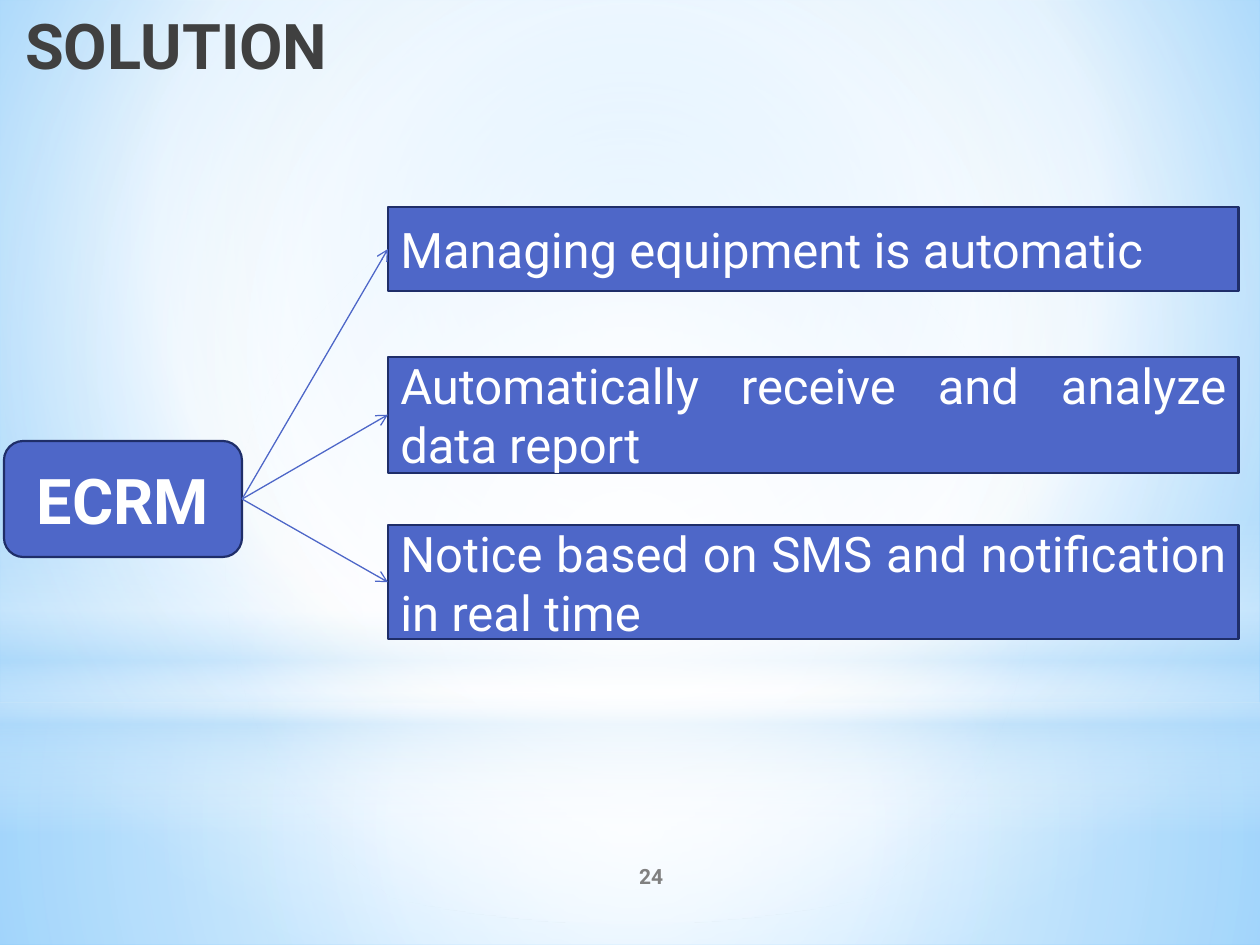
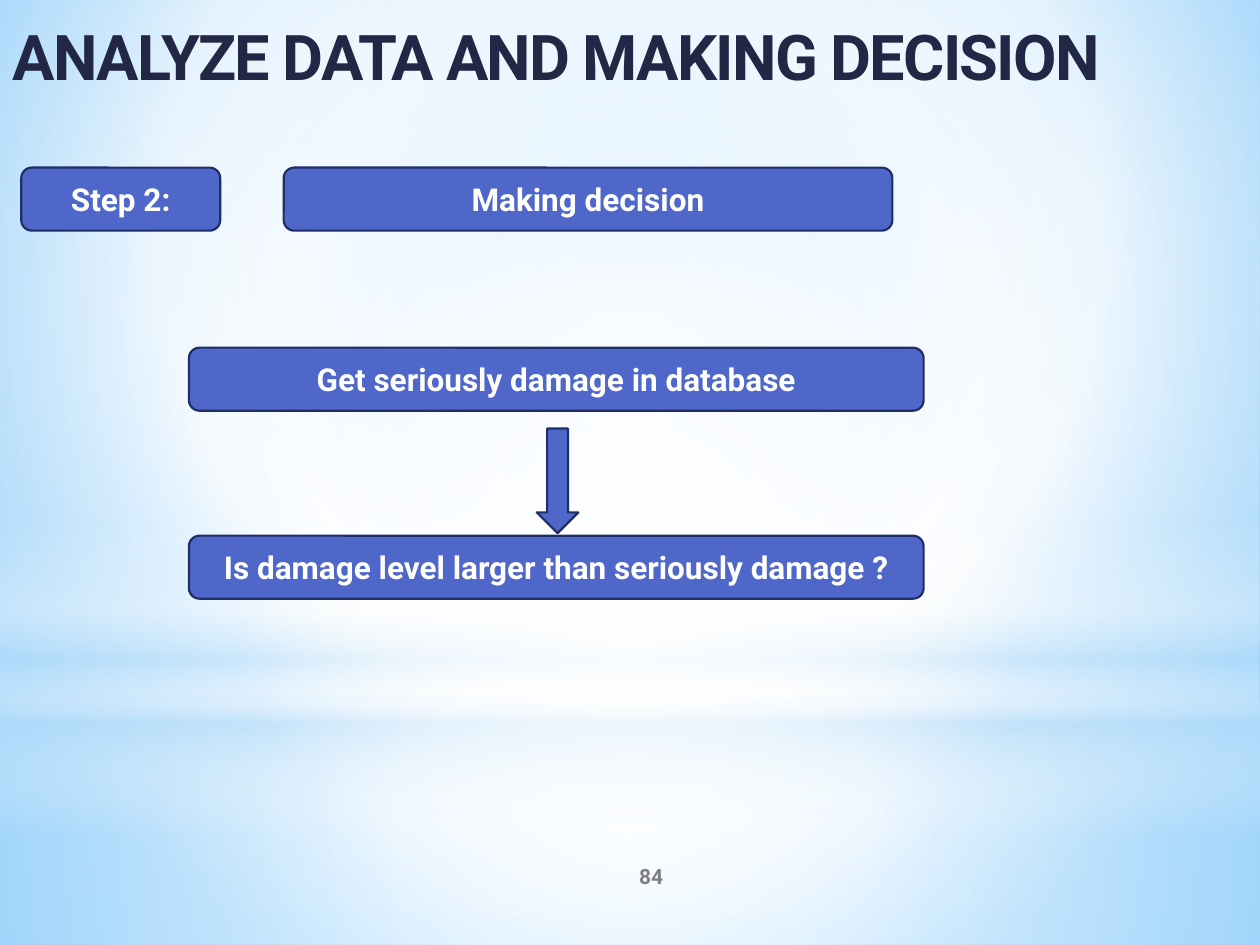
from lxml import etree
from pptx import Presentation
from pptx.dml.color import RGBColor
from pptx.enum.shapes import MSO_CONNECTOR as Connector, MSO_SHAPE as Shape
from pptx.enum.text import MSO_ANCHOR as Anchor, MSO_AUTO_SIZE as AutoSize, PP_ALIGN as Align
from pptx.oxml import parse_xml
from pptx.oxml.ns import nsdecls, qn
from pptx.util import Cm, Pt

# ---- Content: boxes are (left, top, width, height) in cm ----
SOLUTION = {
    "title": "SOLUTION",
    "number": "24",
    "system": ("ECRM", (0.08, 8.89, 4.8, 2.34)),
    "benefits": [  # text, top, height
        ("Managing equipment is automatic", 4.17, 1.7),
        ("Automatically receive and analyze data report", 7.19, 2.34),
        ("Notice based on SMS and notification in real time", 10.59, 2.29),
    ],
}
DECISION = {
    "title": "ANALYZE DATA AND MAKING DECISION",
    "number": "84",
    "steps": [  # text, left, top, width
        ("Step 2:", 0.43, 3.38, 4.01),
        ("Making decision", 5.72, 3.38, 12.27),
        ("Get seriously damage in database", 3.81, 7.01, 14.81),
        ("Is damage level larger than seriously damage ?", 3.81, 10.8, 14.81),
    ],
    "arrow": (10.82, 8.64, 0.84, 2.11),
}

# ---- Shared look ----
FONT = "Roboto"
COLORS = {
    "box": "4E67C8", "outline": "1F2E69", "text": "FFFFFF", "number": "808080",
    "gray title": "404040", "navy title": "212745",
    "white": "FFFFFF", "mist": "B4DCFA", "sky": "9ED5FF", "blue": "5BB9FF",
}
BENEFIT_LEFT, BENEFIT_WIDTH = 7.82, 17.15
STEP_HEIGHT = 1.27
NUMBER_BOX = (10.59, 17.15, 5.08, 1.02)
CENTER = (50, 50, 50, 50)

# Gradient stops are (position %, colour, opacity %); no focus means a vertical blend
BACKDROP = ([(0, "sky", 100), (60, "white", 100), (100, "blue", 100)], (20, 10, 20, 60))
BANDS = [
    (Shape.RECTANGLE, (0, 14.17, 25.4, 4.88),
     [(0, "white", 91), (37, "white", 76), (100, "mist", 79)], CENTER),
    (Shape.RECTANGLE, (0, 0, 25.4, 14.17),
     [(0, "white", 89), (48, "white", 62), (100, "mist", 79)], CENTER),
    (Shape.RECTANGLE, (0, 10.46, 25.4, 6.35),
     [(0, "white", 0), (29, "white", 30), (45, "mist", 40),
      (55, "white", 26), (65, "mist", 60), (100, "white", 0)], None),
    (Shape.OVAL, (0, 4.45, 25.4, 14.17),
     [(0, "white", 100), (56, "white", 0)], CENTER),
]


def color(name):
    return RGBColor.from_string(COLORS[name])


def cm_box(box):
    return [Cm(value) for value in box]


def replace_with_gradient(properties, stops, focus):
    """Swap the solid fill inside a properties element for a gradient."""
    stop_xml = "".join(
        f'<a:gs pos="{position * 1000}"><a:srgbClr val="{COLORS[name]}">'
        f'<a:alpha val="{opacity * 1000}"/></a:srgbClr></a:gs>'
        for position, name, opacity in stops)
    if focus:
        sides = " ".join(f'{side}="{value * 1000}"' for side, value in zip("ltrb", focus))
        direction = f'<a:path path="circle"><a:fillToRect {sides}/></a:path>'
    else:
        direction = '<a:lin ang="5400000" scaled="0"/>'
    gradient = parse_xml(f'<a:gradFill {nsdecls("a")} rotWithShape="1">'
                         f'<a:gsLst>{stop_xml}</a:gsLst>{direction}</a:gradFill>')
    properties.replace(properties.find(qn("a:solidFill")), gradient)


def write_text(shape, text, size, color_name, bold=True, align=Align.CENTER,
               anchor=Anchor.MIDDLE):
    frame = shape.text_frame
    frame.text = text
    for key, value in {"word_wrap": True, "auto_size": AutoSize.NONE,
                       "vertical_anchor": anchor}.items():
        setattr(frame, key, value)
    paragraph = frame.paragraphs[0]
    paragraph.alignment = align
    font = paragraph.runs[0].font
    for key, value in {"name": FONT, "size": Pt(size), "bold": bold}.items():
        setattr(font, key, value)
    font.color.rgb = color(color_name)


def add_box(slide, kind, box):
    shape = slide.shapes.add_shape(kind, *cm_box(box))
    shape.shadow.inherit = False
    shape.fill.solid()
    shape.fill.fore_color.rgb = color("box")
    shape.line.color.rgb = color("outline")
    shape.line.width = Pt(1.25)
    return shape


def add_link(slide, start, end):
    """Draw an arrow from the right side of start to the left side of end."""
    link = slide.shapes.add_connector(Connector.STRAIGHT, 0, 0, 0, 0)
    link.begin_connect(start, 3)
    link.end_connect(end, 1)
    link.line.color.rgb = color("box")
    link.line.width = Pt(0.75)
    properties = link.element.spPr
    etree.SubElement(properties.find(qn("a:ln")), qn("a:tailEnd"), type="arrow")
    etree.SubElement(properties, qn("a:effectLst"))


def decorate_master(presentation, slide):
    """Give the master its backdrop and bands, shaped on a slide and then moved."""
    master = presentation.slide_master
    master.background.fill.solid()
    master.background.fill.fore_color.rgb = color("sky")
    replace_with_gradient(master.element.find(".//" + qn("p:bgPr")), *BACKDROP)
    tree = master.element.cSld.spTree
    for index, (kind, box, stops, focus) in enumerate(BANDS):
        band = add_box(slide, kind, box)
        band.line.fill.background()
        replace_with_gradient(band.element.spPr, stops, focus)
        band.element.nvSpPr.cNvPr.set("id", str(20 + index))
        tree.insert(2 + index, band.element)


def add_slide(presentation, content, title_box, **title_format):
    slide = presentation.slides.add_slide(presentation.slide_layouts[5])
    title = slide.shapes.title
    title.left, title.top, title.width, title.height = cm_box(title_box)
    write_text(title, content["title"], 36, **title_format)
    number = slide.shapes.add_textbox(*cm_box(NUMBER_BOX))
    write_text(number, content["number"], 12, "number")
    return slide


def build_solution(presentation):
    slide = add_slide(presentation, SOLUTION, (0.08, 0, 6.78, 2.24),
                      color_name="gray title", align=Align.RIGHT, anchor=Anchor.TOP)
    name, box = SOLUTION["system"]
    system = add_box(slide, Shape.ROUNDED_RECTANGLE, box)
    write_text(system, name, 36, "text")
    for text, top, height in SOLUTION["benefits"]:
        benefit = add_box(slide, Shape.RECTANGLE, (BENEFIT_LEFT, top, BENEFIT_WIDTH, height))
        write_text(benefit, text, 28, "text", bold=False, align=Align.JUSTIFY)
        add_link(slide, system, benefit)
    return slide


def build_decision(presentation):
    slide = add_slide(presentation, DECISION, (0, 0, 23.5, 2.24),
                      color_name="navy title", align=Align.LEFT)
    title_run = slide.shapes.title.text_frame.paragraphs[0].runs[0]
    title_run.font.element.set("spc", "-100") if hasattr(title_run.font, "element") else \
        title_run._r.get_or_add_rPr().set("spc", "-100")
    for text, left, top, width in DECISION["steps"]:
        step = add_box(slide, Shape.ROUNDED_RECTANGLE, (left, top, width, STEP_HEIGHT))
        write_text(step, text, 18, "text")
    add_box(slide, Shape.DOWN_ARROW, DECISION["arrow"])


def main():
    presentation = Presentation()
    presentation.slide_width, presentation.slide_height = Cm(25.4), Cm(19.05)
    solution = build_solution(presentation)
    decorate_master(presentation, solution)
    build_decision(presentation)
    presentation.save("out.pptx")


if __name__ == "__main__":
    main()
